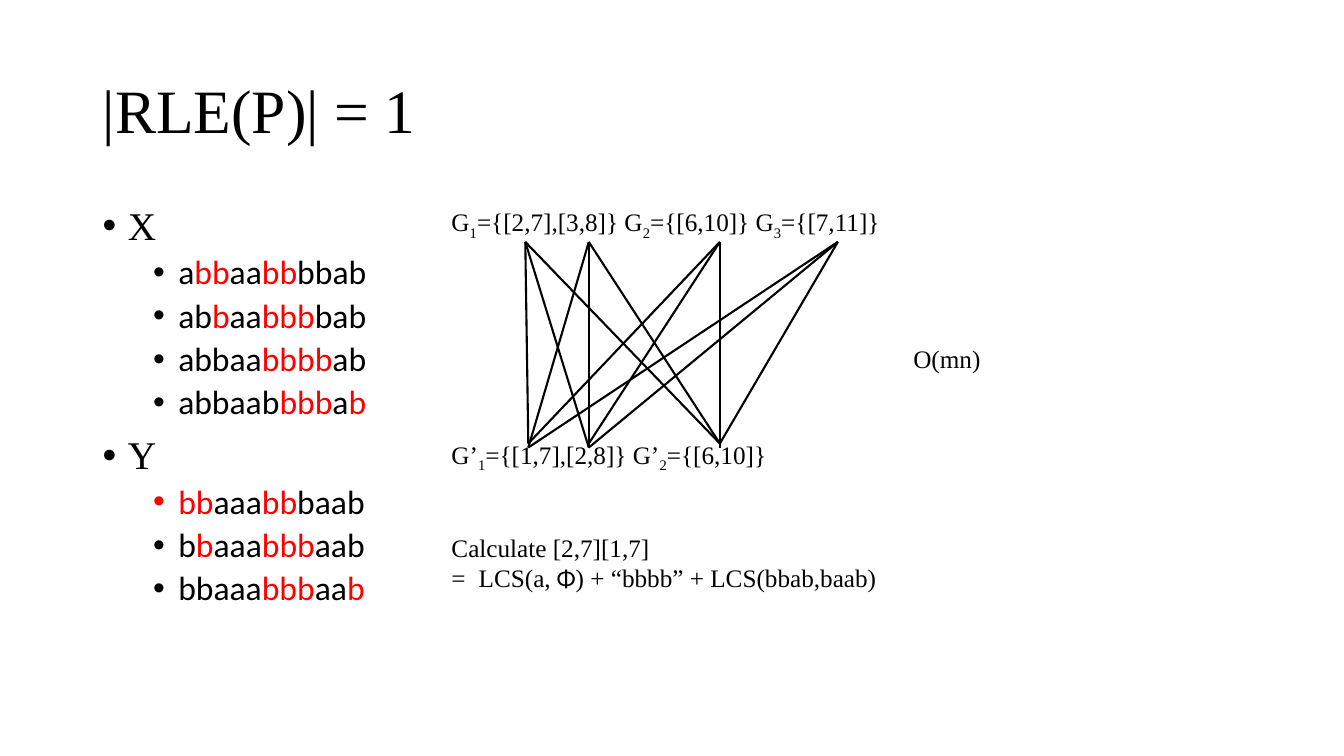
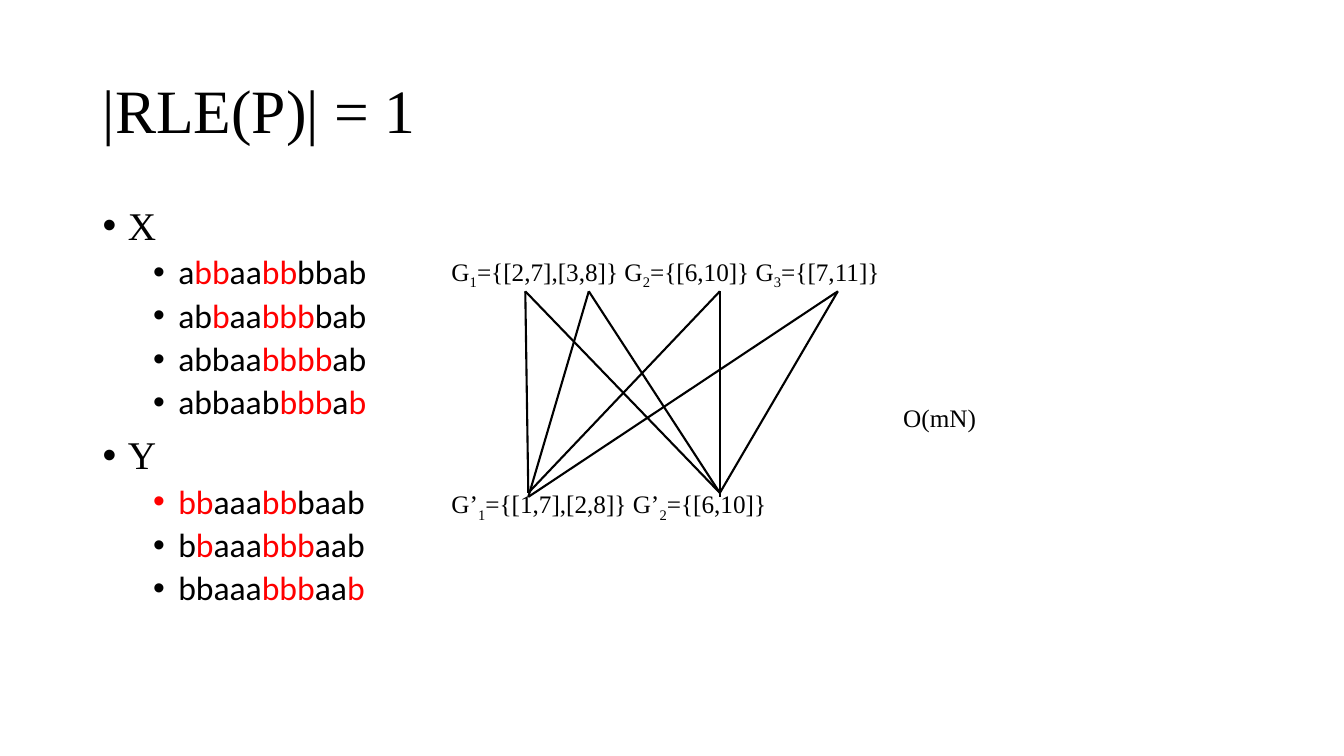
import pptx
import pptx.util
import pptx.dml.color
import pptx.enum.shapes
import pptx.enum.text
import pptx.oxml.ns
import lxml.etree

Inches = pptx.util.Inches
Pt = pptx.util.Pt
qn = pptx.oxml.ns.qn

COLORS = {"text": "000000", "match": "FF0000"}
SERIF, SANS = "Times New Roman", "Calibri"
TITLE = "|RLE(P)| = 1"
OCCURRENCES = {
    "X": ["a~bb~aa~bb~bbab", "ab~b~aa~bbb~bab", "abbaa~bbbb~ab", "abbaab~bbb~a~b~"],
    "Y": ["~bb~aaa~bb~baab", "b~b~aaa~bbb~aab", "bbaaa~bbb~aa~b~"],
}
X_GROUPS = "G_1_={[2,7],[3,8]} G_2_={[6,10]} G_3_={[7,11]}"
Y_GROUPS = "G’_1_={[1,7],[2,8]} G’_2_={[6,10]}"
TOP_X = [5.21, 5.84, 7.14, 8.31]
BOTTOM_X = [5.24, 5.84, 7.14]
LONG_LINES = {(0, 1), (1, 0), (1, 1), (2, 2), (3, 0), (3, 1)}


def add_runs(p, text, size, font=SERIF):
    # "~" toggles red, "_" subscript, "^" the sans font
    active = {"~": False, "_": False, "^": False}
    piece = ""
    for ch in text + "\0":
        if ch not in active and ch != "\0":
            piece += ch
            continue
        if piece:
            r = p.add_run()
            r.text = piece
            r.font.size = Pt(size)
            r.font.name = SANS if active["^"] else font
            color = COLORS["match" if active["~"] else "text"]
            r.font.color.rgb = pptx.dml.color.RGBColor.from_string(color)
            if active["_"]:
                r._r.get_or_add_rPr().set("baseline", "-25000")
            piece = ""
        if ch in active:
            active[ch] = not active[ch]


def add_box(slide, left, top, width, height, lines=(), wrap=True):
    sp = slide.shapes.add_textbox(Inches(left), Inches(top), Inches(width), Inches(height))
    tf = sp.text_frame
    tf.word_wrap = wrap
    for i, line in enumerate(lines):
        p = tf.add_paragraph() if i else tf.paragraphs[0]
        if "\t" in line:
            tabs = lxml.etree.SubElement(p._p.get_or_add_pPr(), qn("a:tabLst"))
            lxml.etree.SubElement(tabs, qn("a:tab"), pos=str(Inches(0.27)), algn="l")
        add_runs(p, line, 18)
    return tf


prs = pptx.Presentation()
prs.slide_width, prs.slide_height = Inches(13.33), Inches(7.5)

slides = [
    {"shift": 0, "bottoms": [0, 1, 2], "cost": "O(mn)", "cost_box": (8.96, 3.36, 0.88, 0.4),
     "wrap": False,
     "steps": ["Calculate [2,7][1,7]", "=\tLCS(a,^ Φ^) + “bbbb” + LCS(bbab,baab)"]},
    {"shift": 0.49, "bottoms": [0, 2], "cost": "O(mN)", "cost_box": (8.86, 3.94, 1.28, 0.4),
     "wrap": True, "steps": []},
]

for spec_row in slides:
    s = prs.slides.add_slide(prs.slide_layouts[5])
    shift = spec_row["shift"]

    title = s.shapes.title
    title.left, title.top = Inches(0.92), Inches(0.4)
    title.width, title.height = Inches(11.5), Inches(1.45)
    tf = title.text_frame
    tf.auto_size = pptx.enum.text.MSO_AUTO_SIZE.NONE
    tf.vertical_anchor = pptx.enum.text.MSO_ANCHOR.MIDDLE
    p = tf.paragraphs[0]
    p.alignment = pptx.enum.text.PP_ALIGN.LEFT
    p.line_spacing = 0.9
    add_runs(p, TITLE, 44)

    tf = add_box(s, 0.92, 2, 11.5, 4.76)
    rows = []
    for name, strings in OCCURRENCES.items():
        rows += [(name, 0)] + [(string, 1) for string in strings]
    for i, (text, level) in enumerate(rows):
        p = tf.add_paragraph() if i else tf.paragraphs[0]
        pPr = p._p.get_or_add_pPr()
        pPr.set("marL", str(Inches(0.25 + 0.5 * level)))
        pPr.set("indent", str(Inches(-0.25)))
        lxml.etree.SubElement(pPr, qn("a:buFont"), typeface="Arial")
        lxml.etree.SubElement(pPr, qn("a:buChar"), char="•")
        p.level = level
        p.line_spacing = 0.9
        if i:
            p.space_before = Pt(5 if level else 10)
        add_runs(p, text, 24 if level else 28, SANS if level else SERIF)

    add_box(s, 4.38, 2 + shift, 7.6, 0.4, [X_GROUPS])
    add_box(s, 4.38, 4.31 + shift, 7.6, 0.4, [Y_GROUPS])

    for i, x1 in enumerate(TOP_X):
        for j in spec_row["bottoms"]:
            y2 = 4.44 if (i, j) in LONG_LINES else 4.4
            line = s.shapes.add_connector(
                pptx.enum.shapes.MSO_CONNECTOR.STRAIGHT,
                Inches(x1), Inches(2.4 + shift), Inches(BOTTOM_X[j]), Inches(y2 + shift))
            line.line.width = Pt(1.5)
            line.line.color.rgb = pptx.dml.color.RGBColor.from_string(COLORS["text"])
            lxml.etree.SubElement(line._element.spPr, qn("a:effectLst"))

    if spec_row["steps"]:
        add_box(s, 4.38, 5.23, 6.67, 0.71, spec_row["steps"])
    add_box(s, *spec_row["cost_box"], [spec_row["cost"]], spec_row["wrap"])

prs.save("out.pptx")
